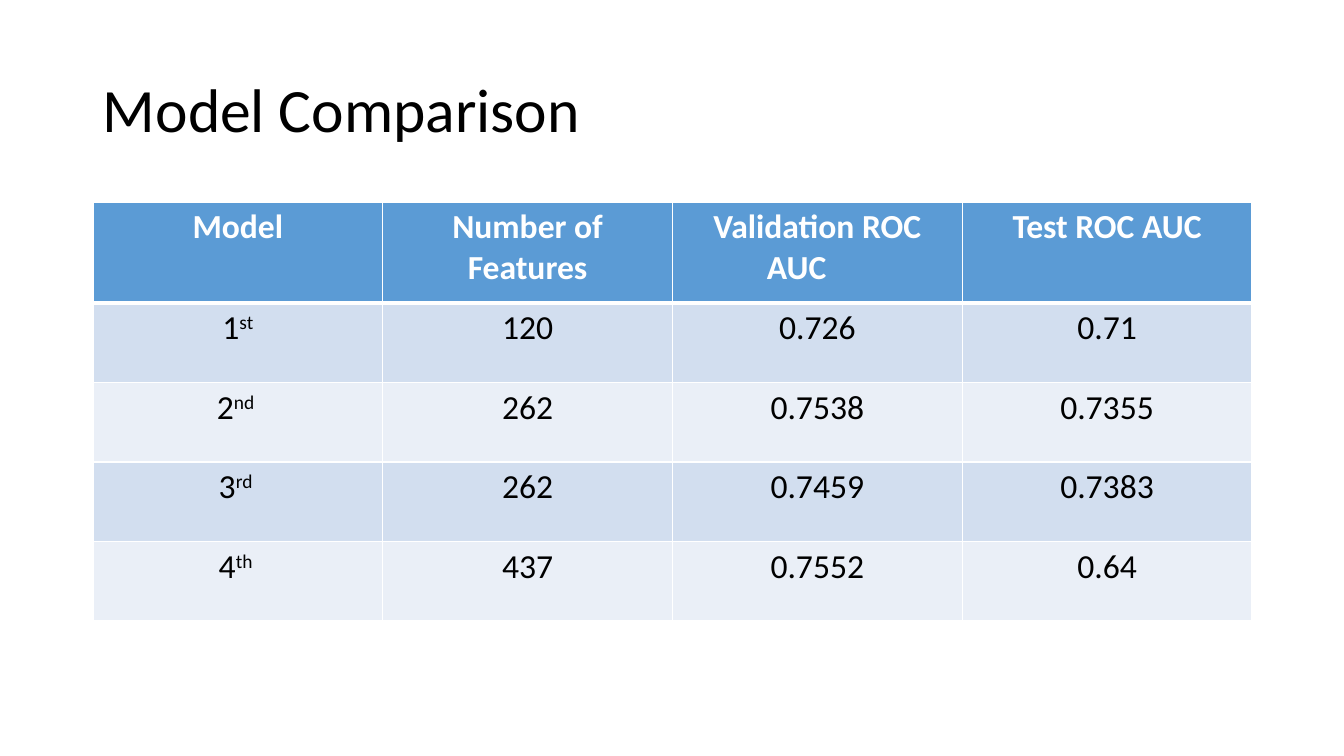
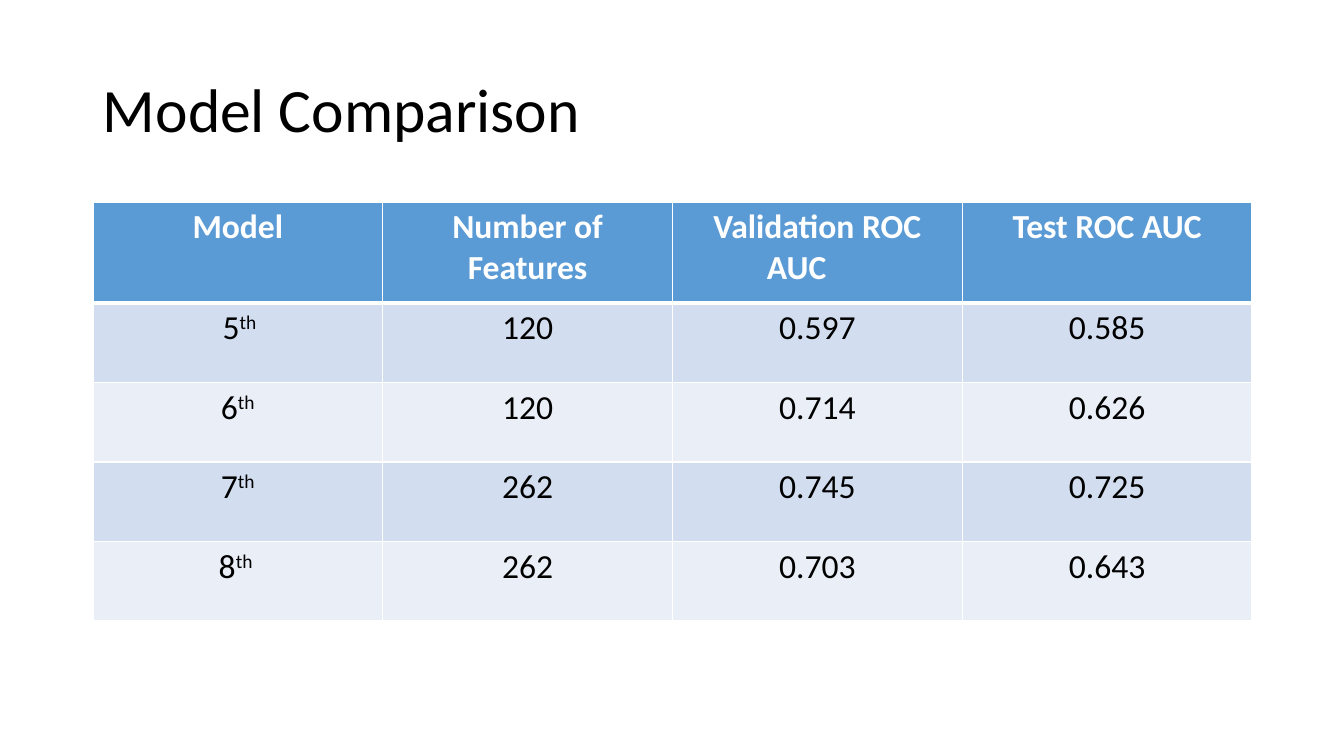
from lxml.etree import SubElement
from pptx import Presentation
from pptx.dml.color import RGBColor
from pptx.enum.text import MSO_ANCHOR, PP_ALIGN
from pptx.oxml.ns import qn
from pptx.util import Emu, Pt

EMU_PER_PIXEL = 914400 / 100.8
FONT = "Calibri"
BLACK, WHITE = "000000", "FFFFFF"
HEADER_FILL = "5B9BD5"
BAND_FILLS = ("D2DEEF", "EAEFF7")
TITLE_BOX = (93, 40, 1159, 146)
TABLE_BOX = (93, 202, 1159, 419)
HEADER_HEIGHT = 101
HEADERS = ("Model", "Number of Features", "Validation ROC AUC\t", "Test ROC AUC")
COMPARISONS = (
    (
        ("1", "st", "120", "0.726", "0.71"),
        ("2", "nd ", "262", "0.7538", "0.7355"),
        ("3", "rd ", "262", "0.7459", "0.7383"),
        ("4", "th ", "437", "0.7552", "0.64"),
    ),
    (
        (" 5", "th ", "120", "0.597", "0.585"),
        ("6", "th", "120", "0.714", "0.626"),
        ("7", "th", "262", "0.745", "0.725"),
        ("8", "th ", "262", "0.703", "0.643"),
    ),
)


def px(pixels):
    return Emu(round(pixels * EMU_PER_PIXEL))


def color(hex_string):
    return RGBColor.from_string(hex_string)


def add_run(paragraph, text, size, hex_color, bold=False, superscript=False):
    run = paragraph.add_run()
    run.text = text
    run.font.name = FONT
    run.font.size = Pt(size)
    run.font.bold = bold
    run.font.color.rgb = color(hex_color)
    if superscript:
        run.font._element.set("baseline", "30000")


def add_title(slide, box, text):
    shape = slide.shapes.add_textbox(*map(px, box))
    frame = shape.text_frame
    frame.word_wrap = True
    frame.vertical_anchor = MSO_ANCHOR.MIDDLE
    paragraph = frame.paragraphs[0]
    paragraph.line_spacing = 0.9
    add_run(paragraph, text, 44, BLACK)


def set_borders(cell, top, bottom):
    properties = cell._tc.get_or_add_tcPr()
    for side, width in (("L", 1), ("R", 1), ("T", top), ("B", bottom)):
        line = SubElement(properties, qn(f"a:ln{side}"), w=str(Pt(width)))
        fill = SubElement(line, qn("a:solidFill"))
        SubElement(fill, qn("a:srgbClr"), val=WHITE)


def fill_cell(cell, hex_fill, runs, hex_color, bold=False):
    cell.fill.solid()
    cell.fill.fore_color.rgb = color(hex_fill)
    paragraph = cell.text_frame.paragraphs[0]
    paragraph.alignment = PP_ALIGN.CENTER
    for position, text in enumerate(runs):
        add_run(paragraph, text, 24, hex_color, bold, superscript=position > 0)


def add_comparison_table(slide, box, models):
    row_count, column_count = len(models) + 1, len(HEADERS)
    frame = slide.shapes.add_table(row_count, column_count, *map(px, box))
    table = frame.table
    table.first_row = False
    table.horz_banding = False
    for column in table.columns:
        column.width = px(box[2] / column_count)
    for row in table.rows:
        row.height = px((box[3] - HEADER_HEIGHT) / len(models))
    table.rows[0].height = px(HEADER_HEIGHT)

    for index, header in enumerate(HEADERS):
        cell = table.cell(0, index)
        set_borders(cell, top=1, bottom=3)
        fill_cell(cell, HEADER_FILL, [header], WHITE, bold=True)
    for row_index, (number, suffix, *values) in enumerate(models, start=1):
        band = BAND_FILLS[(row_index - 1) % 2]
        contents = [(number, suffix)] + [(value,) for value in values]
        for index, runs in enumerate(contents):
            cell = table.cell(row_index, index)
            set_borders(cell, top=3 if row_index == 1 else 1, bottom=1)
            fill_cell(cell, band, runs, BLACK)


def add_comparison_slide(presentation, models):
    slide = presentation.slides.add_slide(presentation.slide_layouts[6])
    add_title(slide, TITLE_BOX, "Model Comparison")
    add_comparison_table(slide, TABLE_BOX, models)


presentation = Presentation()
presentation.slide_width = px(1344)
presentation.slide_height = px(756)
for models in COMPARISONS:
    add_comparison_slide(presentation, models)
presentation.save("out.pptx")
